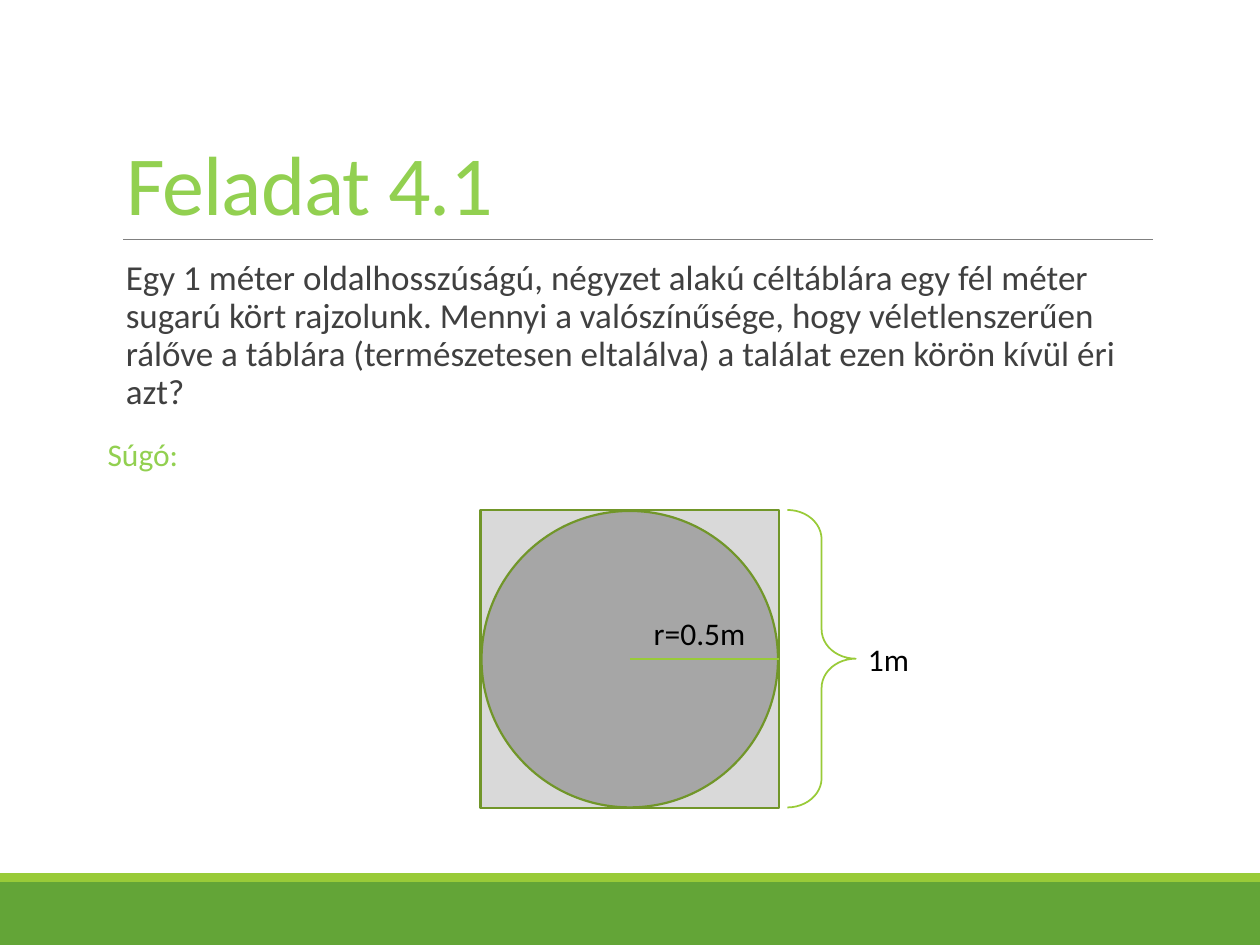
from dataclasses import dataclass

from lxml.etree import SubElement
from pptx import Presentation
from pptx.dml.color import RGBColor as RGB
from pptx.enum.shapes import MSO_CONNECTOR as Link, MSO_SHAPE as Kind
from pptx.enum.text import MSO_ANCHOR as Anchor, MSO_AUTO_SIZE as Fit, PP_ALIGN as Align
from pptx.oxml.ns import qn
from pptx.util import Pt


@dataclass(frozen=True)
class Theme:
    font: str = "Calibri"
    title: str = "92D050"
    body: str = "404040"
    label: str = "000000"
    band: str = "63A537"
    lime: str = "99CB38"
    edge: str = "719629"
    rule: str = "808080"
    board: str = "D9D9D9"
    disc: str = "A6A6A6"
    head_size: int = 48
    body_size: int = 20
    label_size: int = 18


theme = Theme()
deck = Presentation()
deck.slide_width, deck.slide_height = Pt(720), Pt(540)
slide = deck.slides.add_slide(deck.slide_layouts[5])
shapes = slide.shapes


def write(box, text, color, size=theme.label_size, wrap=True, lead=1.0,
          anchor=Anchor.TOP, fit=Fit.NONE, right=7.2):
    frame = box.text_frame
    frame.word_wrap, frame.auto_size = wrap, fit
    frame.vertical_anchor, frame.margin_right = anchor, Pt(right)
    par = frame.paragraphs[0]
    par.alignment, par.line_spacing = Align.LEFT, lead
    run = par.add_run()
    run.text = text
    run.font.name, run.font.size = theme.font, Pt(size)
    run.font.color.rgb = RGB.from_string(color)
    return run


def draw(kind, spot, fill=None, line=None, width=1.25):
    """Add a preset shape, or a straight line from spot's first point to its second."""
    spot = [Pt(v) for v in spot]
    if kind is Link.STRAIGHT:
        item = shapes.add_connector(kind, *spot)
        SubElement(item._element.spPr, qn("a:effectLst"))
    else:
        item = shapes.add_shape(kind, *spot)
        item.shadow.inherit = False
        if fill:
            item.fill.solid()
            item.fill.fore_color.rgb = RGB.from_string(fill)
        else:
            item.fill.background()
    if line:
        item.line.color.rgb = RGB.from_string(line)
        item.line.width = Pt(width)
    else:
        item.line.fill.background()
    return item


# Footer bands and title rule
draw(Kind.RECTANGLE, (0, 504, 720, 36), theme.band)
draw(Kind.RECTANGLE, (0, 499, 720, 5), theme.lime)
draw(Link.STRAIGHT, (70.5, 136.8, 659, 136.8), line=theme.rule, width=0.5)

# Title and task
title = shapes.title
title.left, title.top, title.width, title.height = Pt(64.8), Pt(22.3), Pt(594), Pt(114.5)
run = write(title, "Feladat 4.1", theme.title, theme.head_size, lead=0.85, anchor=Anchor.BOTTOM)
run.font._element.set("spc", "-50")

task = shapes.add_textbox(Pt(64.8), Pt(145.4), Pt(594), Pt(316.8))
write(task, "Egy 1 méter oldalhosszúságú, négyzet alakú céltáblára egy fél méter "
      "sugarú kört rajzolunk. Mennyi a valószínűsége, hogy véletlenszerűen rálőve "
      "a táblára (természetesen eltalálva) a találat ezen körön kívül éri azt?",
      theme.body, theme.body_size, lead=0.9, right=0)

# Target: square board, inscribed circle, radius and side brace
left, top, side, gap = 274.6, 291.4, 170.6, 0.6
mid = top + side / 2
draw(Kind.RECTANGLE, (left, top, side, side), theme.board, theme.edge)
draw(Kind.OVAL, (left + gap, top + gap, side - 2 * gap, side - 2 * gap), theme.disc, theme.edge)
brace = draw(Kind.RIGHT_BRACE, (450, top, 39, 170), line=theme.lime, width=1)
brace.adjustments[0] = 0.43
draw(Link.STRAIGHT, (left + side / 2, mid - 0.3, left + side, mid - 0.3), line=theme.lime, width=1)

# Labels
for text, x, y, wide, wrap, color in (
    ("Súgó:", 54.4, 245, 55.4, False, theme.title),
    ("1m", 488.9, 362.4, 38.2, False, theme.label),
    ("r=0.5m", 366.5, 347.3, 84.2, True, theme.label),
):
    box = shapes.add_textbox(Pt(x), Pt(y), Pt(wide), Pt(29))
    write(box, text, color, wrap=wrap, fit=Fit.SHAPE_TO_FIT_TEXT)

deck.save("out.pptx")
